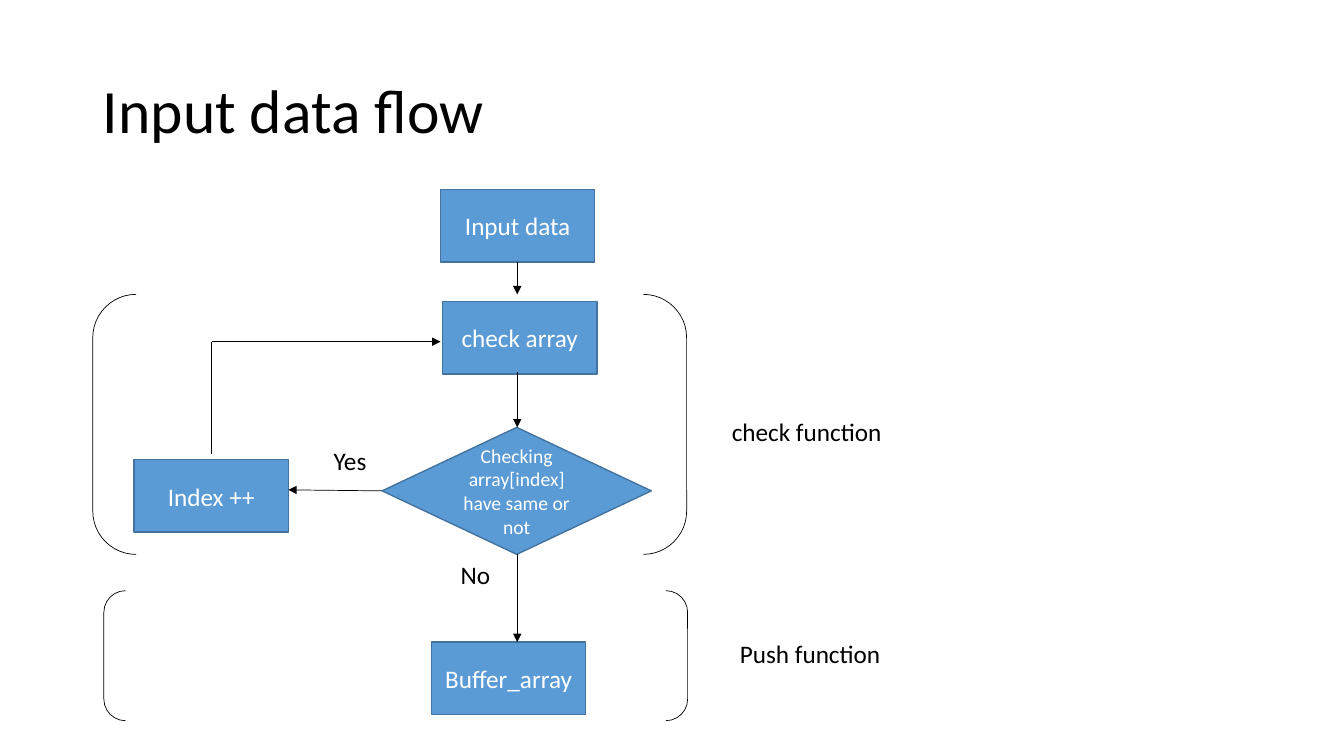
from lxml import etree
from pptx import Presentation
from pptx.dml.color import RGBColor
from pptx.enum.shapes import MSO_CONNECTOR, MSO_SHAPE
from pptx.enum.text import MSO_ANCHOR, PP_ALIGN
from pptx.oxml.ns import qn
from pptx.util import Inches, Pt

COLORS = {"fill": "5B9BD5", "border": "43739E", "ink": "000000", "light": "FFFFFF"}
FONT = "Calibri"
TITLE = "Input data flow"
BOX_SIZE = (1.53, 0.72)
LABEL_HEIGHT = 0.4
FLOW_X = 5.13

STEPS = [
    ("Input data", 4.37, 1.88),
    ("check array", 4.39, 2.99),
    ("Index ++", 1.33, 4.56),
    ("Buffer_array", 4.28, 6.37),
]
DECISION = ("Checking array[index] have same or not", 3.79, 4.24, 2.67, 1.26)
LABELS = [
    ("Yes", 3.21, 4.37, 0.58),
    ("No", 4.47, 5.5, 0.58),
    ("check function", 7.16, 4.08, 1.91),
    ("Push function", 7.24, 6.28, 1.74),
]
BRACKETS = [(0.92, 2.92, 5.89, 2.58), (1.03, 5.86, 5.79, 1.29)]
DOWN_ARROWS = [(2.6, 2.92), (3.69, 4.24), (5.5, 6.37)]
LINES = [(FLOW_X, top, FLOW_X, bottom, True) for top, bottom in DOWN_ARROWS] + [
    (3.79, 4.87, 2.86, 4.86, True),
    (2.1, 4.5, 2.1, 3.39, False),
    (2.1, 3.39, 4.37, 3.39, True),
]


def rgb(name):
    return RGBColor.from_string(COLORS[name])


def write(frame, text, size, color, align=PP_ALIGN.LEFT, anchor=MSO_ANCHOR.TOP):
    frame.word_wrap = True
    frame.vertical_anchor = anchor
    paragraph = frame.paragraphs[0]
    paragraph.alignment = align
    run = paragraph.add_run()
    run.text = text
    run.font.name = FONT
    run.font.size = Pt(size)
    run.font.color.rgb = rgb(color)


def add_outline(kind, box, line_color, line_width):
    shape = slide.shapes.add_shape(kind, *map(Inches, box))
    shape.shadow.inherit = False
    shape.fill.background()
    shape.line.color.rgb = rgb(line_color)
    shape.line.width = Pt(line_width)
    return shape


def add_node(kind, text, box, size):
    shape = add_outline(kind, box, "border", 1)
    shape.fill.solid()
    shape.fill.fore_color.rgb = rgb("fill")
    write(shape.text_frame, text, size, "light", PP_ALIGN.CENTER, MSO_ANCHOR.MIDDLE)


def add_line(x1, y1, x2, y2, arrow):
    line = slide.shapes.add_connector(MSO_CONNECTOR.STRAIGHT, *map(Inches, (x1, y1, x2, y2)))
    line.line.color.rgb = rgb("ink")
    line.line.width = Pt(0.5)
    if arrow:
        etree.SubElement(line.line._get_or_add_ln(), qn("a:tailEnd"), type="triangle")
    etree.SubElement(line._element.spPr, qn("a:effectLst"))


prs = Presentation()
prs.slide_width, prs.slide_height = Inches(13.33), Inches(7.5)
slide = prs.slides.add_slide(prs.slide_layouts[5])

title = slide.shapes.title
title.left, title.top, title.width, title.height = map(Inches, (0.92, 0.4, 11.5, 1.45))
write(title.text_frame, TITLE, 44, "ink", anchor=MSO_ANCHOR.MIDDLE)
title.text_frame.paragraphs[0].line_spacing = 0.9

for text, left, top in STEPS:
    add_node(MSO_SHAPE.RECTANGLE, text, (left, top, *BOX_SIZE), 18)
add_node(MSO_SHAPE.FLOWCHART_DECISION, DECISION[0], DECISION[1:], 14)

for line in LINES:
    add_line(*line)
for box in BRACKETS:
    add_outline(MSO_SHAPE.DOUBLE_BRACKET, box, "ink", 0.5)
for text, left, top, width in LABELS:
    label = slide.shapes.add_textbox(*map(Inches, (left, top, width, LABEL_HEIGHT)))
    write(label.text_frame, text, 18, "ink")

prs.save("out.pptx")
